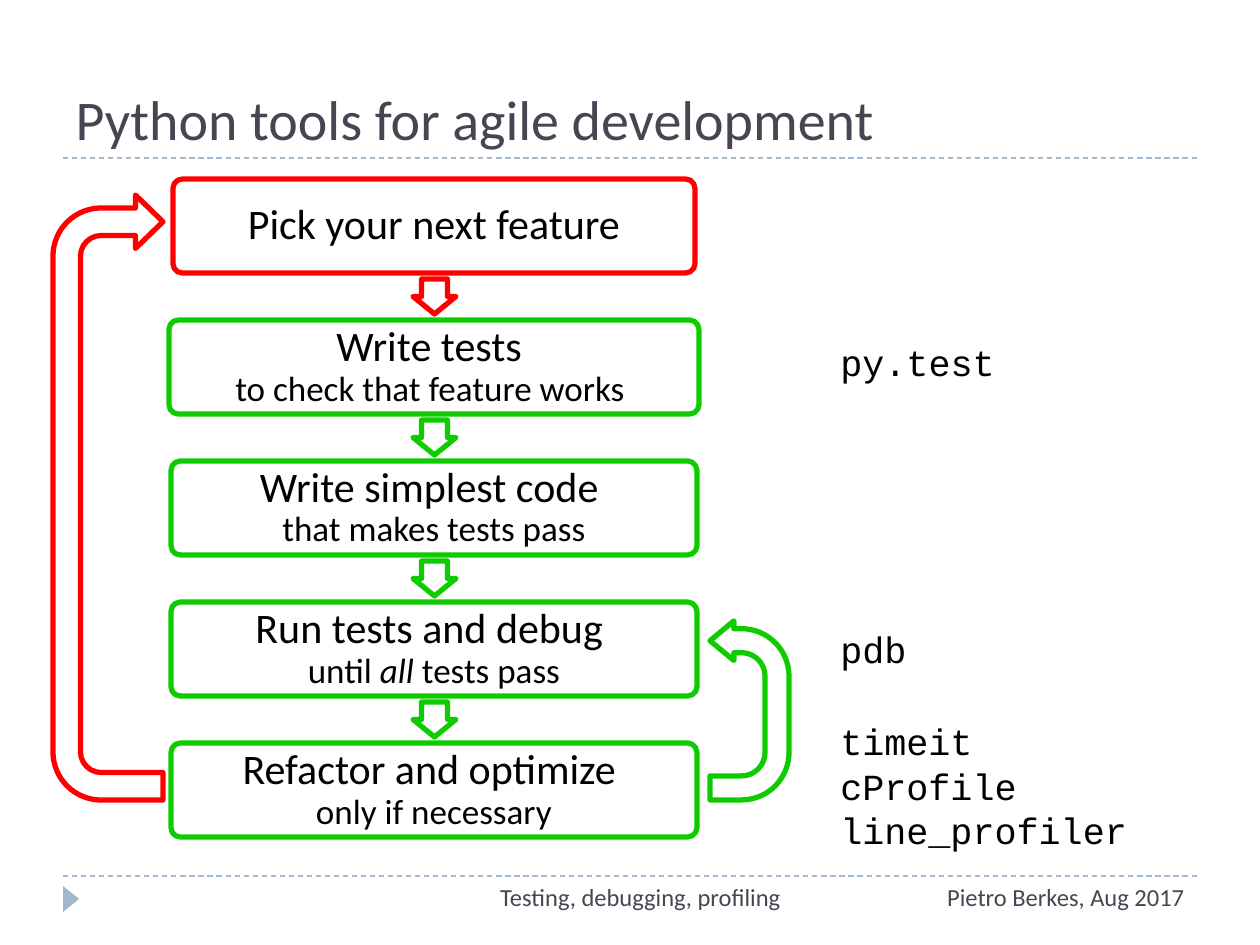
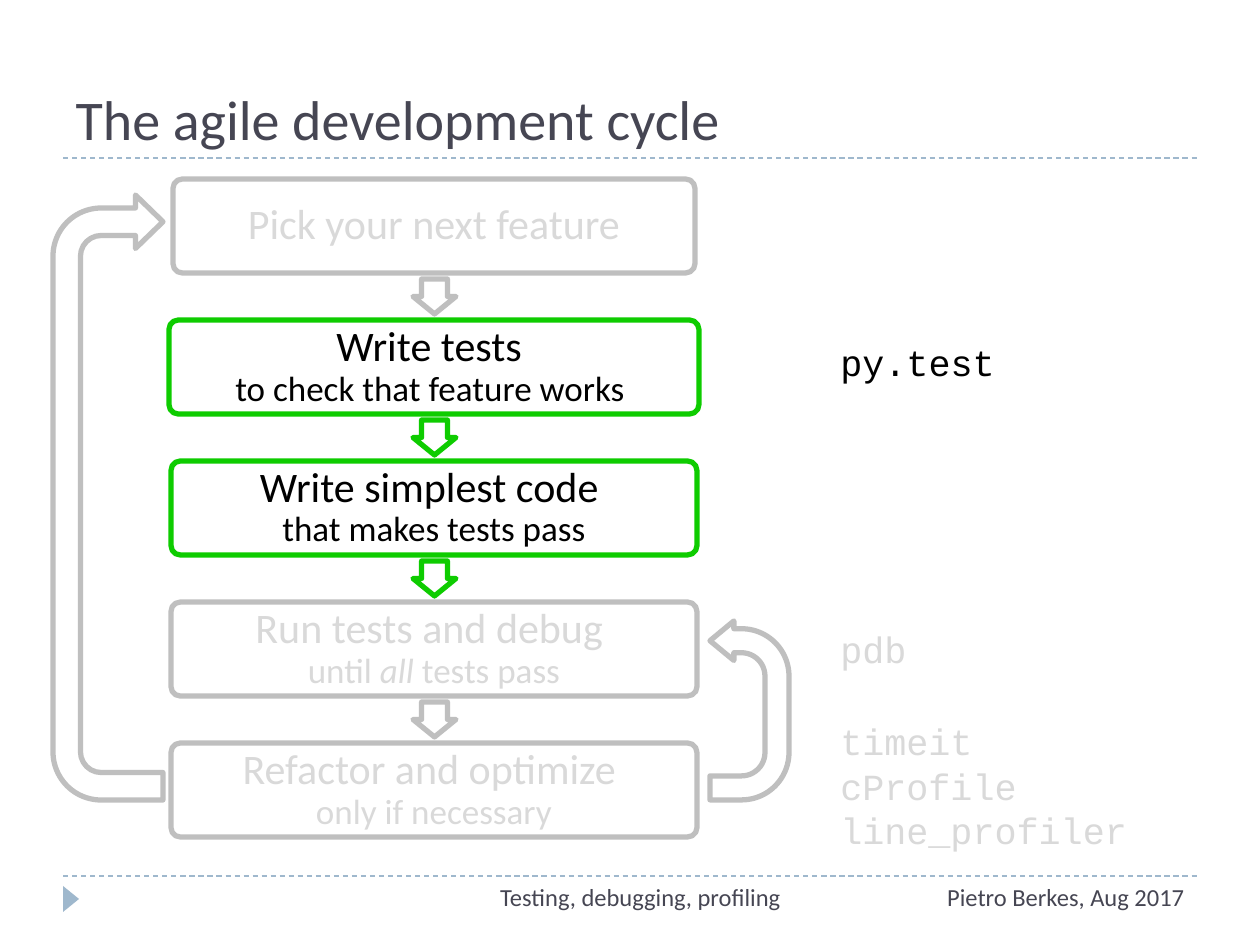
from dataclasses import dataclass

from lxml.etree import SubElement
from pptx import Presentation
from pptx.dml.color import RGBColor
from pptx.enum.dml import MSO_LINE_DASH_STYLE as Dash
from pptx.enum.shapes import MSO_CONNECTOR as Connector, MSO_SHAPE as Preset
from pptx.enum.text import MSO_ANCHOR as Anchor, MSO_AUTO_SIZE as AutoSize, PP_ALIGN as Align
from pptx.oxml.ns import qn
from pptx.util import Pt

EMU_PER_PX = 914400 / 126


@dataclass(frozen=True)
class Theme:
    sans: str = "Calibri"
    mono: str = "Courier New"
    heading: str = "464653"
    accent: str = "9FB8CD"
    paper: str = "FFFFFF"
    ink: str = "000000"
    start: str = "FF0000"
    work: str = "0ECC00"
    muted_ink: str = "D9D9D9"
    muted_line: str = "BFBFBF"
    title_size: int = 32
    step_size: int = 24
    detail_size: int = 20
    tool_size: int = 21
    footer_size: int = 14
    outline: float = 3
    rule: float = 0.75


@dataclass(frozen=True)
class Box:
    left: int
    top: int
    width: int
    height: int

    def inner(self, left, top, width, height):
        return Box(self.left + left, self.top + top, width, height)

    def emu(self):
        return [px(v) for v in (self.left, self.top, self.width, self.height)]


THEME = Theme()
PAGE = Box(0, 0, 1260, 945)
HEADER = Box(63, 32, 1134, 126)
FOOTER = Box(63, 876, 1134, 50)
CYCLE = Box(53, 179, 737, 658)
TOOLS = Box(828, 179, 377, 680)

STEP_PITCH = 141
STEP_HEIGHT = 94
STEP_AXIS = 381

STEPS = [
    (522, "Pick your next feature", []),
    (530, "Write tests ", [("to check that feature works ", False)]),
    (526, "Write simplest code ", [("that makes tests pass", False)]),
    (526, "Run tests and debug ", [("until ", False), ("all", True), (" tests pass", False)]),
    (526, "Refactor and optimize ", [("only if necessary", False)]),
]

TOOL_GROUPS = [
    (1, 155, 258, 57, ["py.test"]),
    (3, 442, 309, 57, ["pdb"]),
    (4, 534, 377, 146, ["timeit", "cProfile", "line_profiler"]),
]

EVERY_STEP = set(range(len(STEPS)))


def px(length):
    return round(length * EMU_PER_PX)


def rgb(colour):
    return RGBColor.from_string(colour)


def add_run(paragraph, text, size, colour, font=THEME.sans, italic=False):
    run = paragraph.add_run()
    run.text = text
    run.font.name = font
    run.font.size = Pt(size)
    run.font.italic = italic
    run.font.color.rgb = rgb(colour)


def add_preset(slide, preset, box, fill, line=None, adjustments=()):
    shape = slide.shapes.add_shape(preset, *box.emu())
    shape.shadow.inherit = False
    shape.fill.solid()
    shape.fill.fore_color.rgb = rgb(fill)
    if line:
        shape.line.color.rgb = rgb(line)
        shape.line.width = Pt(THEME.outline)
    else:
        shape.line.fill.background()
    for index, value in enumerate(adjustments):
        shape.adjustments[index] = value
    return shape


def add_turned(slide, preset, box, angle, fill, line=None, adjustments=()):
    offset = (box.width - box.height) / 2
    unturned = box.inner(offset, -offset, box.height, box.width)
    shape = add_preset(slide, preset, unturned, fill, line, adjustments)
    shape.rotation = angle
    return shape


def add_rule(slide, box, top):
    y = px(box.top + top)
    rule = slide.shapes.add_connector(
        Connector.STRAIGHT, px(box.left), y, px(box.left + box.width), y)
    rule.line.color.rgb = rgb(THEME.accent)
    rule.line.width = Pt(THEME.rule)
    rule.line.dash_style = Dash.DASH
    SubElement(rule.element.spPr, qn("a:effectLst"))


def add_text_frame(slide, box):
    frame = slide.shapes.add_textbox(*box.emu()).text_frame
    frame.word_wrap = True
    return frame


def draw_header(slide, box, text):
    title = slide.shapes.title
    title.left, title.top, title.width, title.height = box.emu()
    frame = title.text_frame
    frame.word_wrap = True
    frame.vertical_anchor = Anchor.BOTTOM
    heading = frame.paragraphs[0]
    heading.alignment = Align.LEFT
    add_run(heading, text, THEME.title_size, THEME.heading)
    add_rule(slide, box, box.height)


def draw_footer(slide, box):
    add_rule(slide, box, 0)
    add_turned(slide, Preset.ISOSCELES_TRIANGLE, box.inner(0, 10, 16, 26), 90, THEME.accent)
    for left, width, align, text in (
        (819, 315, Align.RIGHT, "Pietro Berkes, Aug 2017"),
        (336, 483, Align.CENTER, "Testing, debugging, profiling"),
    ):
        note = add_text_frame(slide, box.inner(left, 0, width, box.height)).paragraphs[0]
        note.alignment = align
        add_run(note, text, THEME.footer_size, THEME.heading)


def draw_step(slide, box, line, ink, name, details):
    step = add_preset(slide, Preset.ROUNDED_RECTANGLE, box, THEME.paper, line, [0.1])
    frame = step.text_frame
    frame.word_wrap = True
    frame.vertical_anchor = Anchor.MIDDLE
    frame.margin_top = frame.margin_bottom = 0
    label = frame.paragraphs[0]
    label.alignment = Align.CENTER
    label.line_spacing = 0.9
    add_run(label, name, THEME.step_size, ink)
    if details:
        label.add_line_break()
    for text, italic in details:
        add_run(label, text, THEME.detail_size, ink, italic=italic)


def draw_cycle(slide, box, focus):
    for index, (width, name, details) in enumerate(STEPS):
        active = index in focus
        hue = THEME.work if index else THEME.start
        line = hue if active else THEME.muted_line
        ink = THEME.ink if active else THEME.muted_ink
        top = index * STEP_PITCH
        step_box = box.inner(STEP_AXIS - width // 2, top, width, STEP_HEIGHT)
        draw_step(slide, step_box, line, ink, name, details)
        if index < len(STEPS) - 1:
            arrow_box = box.inner(STEP_AXIS - 21, top + STEP_HEIGHT + 6, 43, 35)
            add_turned(slide, Preset.RIGHT_ARROW, arrow_box, 90, THEME.paper, line, [0.6, 0.5])

    looping = len(STEPS) - 1 in focus
    restart_line = THEME.start if looping else THEME.muted_line
    retest_line = THEME.work if looping else THEME.muted_line
    add_turned(slide, Preset.U_TURN_ARROW, box.inner(0, 16, 110, 605), 270,
               THEME.paper, restart_line, [0.25, 0.243, 0.25, 0.438, 1])
    retest = add_turned(slide, Preset.U_TURN_ARROW, box.inner(657, 442, 79, 179), 270,
                        THEME.paper, retest_line, [0.304, 0.25, 0.302, 0.601, 1])
    retest.element.spPr.find(qn("a:xfrm")).set("flipV", "1")


def draw_tools(slide, box, focus):
    for step, top, width, height, names in TOOL_GROUPS:
        ink = THEME.ink if step in focus else THEME.muted_ink
        frame = add_text_frame(slide, box.inner(0, top, width, height))
        frame.auto_size = AutoSize.SHAPE_TO_FIT_TEXT
        for index, name in enumerate(names):
            entry = frame.add_paragraph() if index else frame.paragraphs[0]
            add_run(entry, name, THEME.tool_size, ink, THEME.mono)


def add_cycle_slide(deck, title, focus):
    slide = deck.slides.add_slide(deck.slide_layouts.get_by_name("Title Only"))
    draw_header(slide, HEADER, title)
    draw_tools(slide, TOOLS, focus)
    draw_cycle(slide, CYCLE, focus)
    draw_footer(slide, FOOTER)


def main():
    deck = Presentation()
    deck.slide_width, deck.slide_height = px(PAGE.width), px(PAGE.height)
    add_cycle_slide(deck, "Python tools for agile development", EVERY_STEP)
    add_cycle_slide(deck, "The agile development cycle", {1, 2})
    deck.save("out.pptx")


if __name__ == "__main__":
    main()
